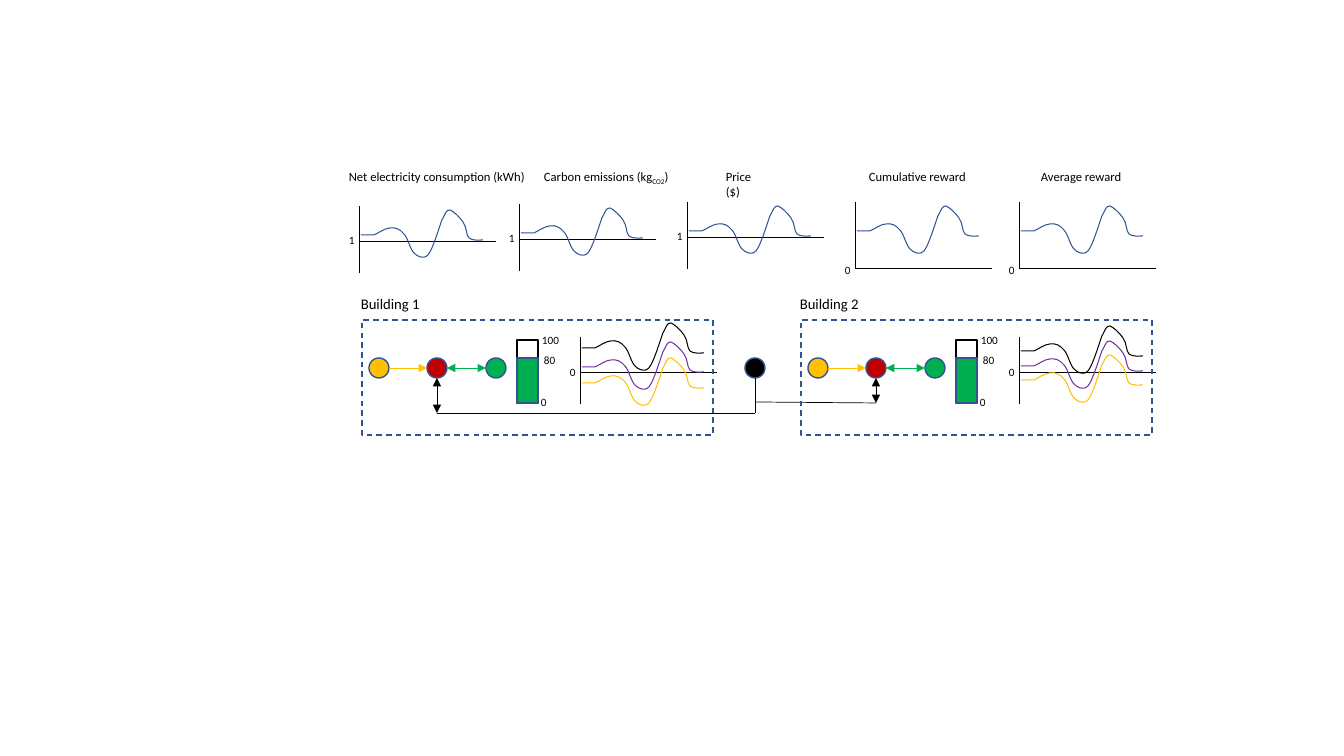
import dataclasses

import lxml.etree
import pptx
import pptx.dml.color
import pptx.enum.dml
import pptx.enum.shapes
import pptx.enum.text
import pptx.oxml.ns
import pptx.util

PIXEL = 914400 / 100.8
SHAPES = pptx.enum.shapes.MSO_SHAPE


@dataclasses.dataclass(frozen=True)
class Theme:
    font: str = "Calibri"
    black: str = "000000"
    blue: str = "325491"
    yellow: str = "FFC000"
    red: str = "C00000"
    green: str = "00B050"
    purple: str = "7030A0"
    tick_size: float = 8
    title_size: float = 9
    building_size: float = 10.5
    thin: float = 0.5
    curve: float = 0.75
    outline: float = 1


THEME = Theme()

# Load profile: flat start, then cubic segments (two controls and an end point)
PROFILE_START = [(0, 25), (13, 25)]
PROFILE_CUBICS = [
    (16, 24), (24, 18), (29, 18),
    (34, 17), (39, 19), (43, 24),
    (47, 28), (49, 39), (53, 43),
    (56, 46), (62, 50), (67, 45),
    (72, 39), (78, 18), (81, 10),
    (85, 3), (85, 0), (89, 0),
    (92, 1), (99, 7), (102, 12),
    (106, 17), (105, 25), (108, 28),
    (111, 31), (119, 30), (122, 30),
]
PROFILE_HEIGHT = 47


def px(length):
    return pptx.util.Emu(round(length * PIXEL))


def rgb(colour):
    return pptx.dml.color.RGBColor.from_string(colour)


def style_line(line, colour, width):
    line.color.rgb = rgb(colour)
    line.width = pptx.util.Pt(width)


def add_line(slide, start, end, colour=THEME.black, arrows=()):
    connector = slide.shapes.add_connector(
        pptx.enum.shapes.MSO_CONNECTOR.STRAIGHT, *map(px, start + end))
    style_line(connector.line, colour, THEME.thin)
    outline = connector.line._get_or_add_ln()
    for arrow in arrows:
        lxml.etree.SubElement(outline, pptx.oxml.ns.qn("a:" + arrow), type="triangle")
    lxml.etree.SubElement(connector._element.spPr, pptx.oxml.ns.qn("a:effectLst"))


def add_shape(slide, kind, left, top, width, height, fill=None, line=THEME.blue):
    shape = slide.shapes.add_shape(kind, *map(px, (left, top, width, height)))
    shape.shadow.inherit = False
    if fill:
        shape.fill.solid()
        shape.fill.fore_color.rgb = rgb(fill)
    else:
        shape.fill.background()
    style_line(shape.line, line, THEME.outline)
    return shape


def add_node(slide, left, top, colour):
    add_shape(slide, SHAPES.OVAL, left, top, 20, 20, colour)


def add_text(slide, left, top, width, height, pieces, size, wrap=False):
    """Pieces alternate between normal text and subscript."""
    text_box = slide.shapes.add_textbox(*map(px, (left, top, width, height)))
    frame = text_box.text_frame
    frame.word_wrap = wrap
    frame.auto_size = pptx.enum.text.MSO_AUTO_SIZE.SHAPE_TO_FIT_TEXT
    for index, piece in enumerate(pieces):
        run = frame.paragraphs[0].add_run()
        run.text = piece
        run.font.name = THEME.font
        run.font.size = pptx.util.Pt(size)
        run.font.color.rgb = rgb(THEME.black)
        if index % 2:
            run._r.get_or_add_rPr().set("baseline", "-25000")


def add_tick(slide, left, top, value):
    add_text(slide, left, top, 38, 24, [value], THEME.tick_size, wrap=True)


def add_curve(slide, left, top, colour):
    points = [(left + x, top + y) for x, y in PROFILE_START + PROFILE_CUBICS]
    builder = slide.shapes.build_freeform(*points[0], scale=PIXEL)
    builder.add_line_segments(points[1:], close=False)
    shape = builder.convert_to_shape()
    # Join every three points after the flat start into one cubic segment
    outline = next(shape._element.iter(pptx.oxml.ns.qn("a:path")))
    segments = list(outline)[len(PROFILE_START):]
    for index in range(0, len(segments), 3):
        cubic = lxml.etree.SubElement(outline, pptx.oxml.ns.qn("a:cubicBezTo"))
        for segment in segments[index:index + 3]:
            cubic.append(segment[0])
            outline.remove(segment)
    # Control points reach below the curve, so fit the frame to the curve
    outline.set("h", str(PROFILE_HEIGHT))
    shape.height = px(PROFILE_HEIGHT)
    shape.shadow.inherit = False
    shape.fill.background()
    style_line(shape.line, colour, THEME.curve)


def draw_chart(slide, left, top, baseline, tick, tick_rise, curves):
    """Axes with a tick label; curves are (drop from chart top, colour)."""
    add_line(slide, (left, top), (left, top + 67))
    add_line(slide, (left + 1, top + baseline), (left + 137, top + baseline))
    for offset, colour in curves:
        add_curve(slide, left + 2, top + offset, colour)
    add_tick(slide, left - 20, top + baseline - tick_rise, tick)


def draw_battery(slide, left, top):
    add_shape(slide, SHAPES.RECTANGLE, left, top, 21, 63, line=THEME.black)
    add_shape(slide, SHAPES.RECTANGLE, left, top + 18, 21, 45, THEME.green)
    for value, x, y in [("100", 15, -12), ("80", 17, 8), ("0", 14, 50)]:
        add_tick(slide, left + x, top + y, value)


def draw_building(slide, left, top, name, bus_drop, curves):
    # Source, controller and storage nodes with their links
    middle = top + 48
    for x, colour in [(7, THEME.yellow), (65, THEME.red), (124, THEME.green)]:
        add_node(slide, left + x, top + 38, colour)
    add_line(slide, (left + 27, middle), (left + 65, middle), THEME.yellow, ["tailEnd"])
    both = ["headEnd", "tailEnd"]
    add_line(slide, (left + 124, middle), (left + 85, middle), THEME.green, both)
    add_line(slide, (left + 75, top + bus_drop), (left + 75, top + 58), arrows=both)
    # State of charge and power profiles
    draw_battery(slide, left + 155, top + 20)
    draw_chart(slide, left + 218, top + 17, 35, "0", 12, curves)
    # Frame and name
    frame = add_shape(slide, SHAPES.RECTANGLE, left, top, 351, 115)
    frame.line.dash_style = pptx.enum.dml.MSO_LINE.DASH
    add_text(slide, left - 11, top - 30, 80, 28, [name], THEME.building_size)


def draw_indicators(slide, top):
    # Title left and width, pieces, chart left and drop, tick
    indicators = [
        (339, 199, ["Net electricity consumption (kWh)"], 359, 4, "1"),
        (534, 148, ["Carbon emissions (kg", "CO2", ")"], 519, 2, "1"),
        (716, 62, ["Price ($)"], 687, 0, "1"),
        (859, 119, ["Cumulative reward"], 855, 0, "0"),
        (1031, 103, ["Average reward"], 1019, 0, "0"),
    ]
    for title_left, width, pieces, left, drop, tick in indicators:
        add_text(slide, title_left, top, width, 25, pieces, THEME.title_size)
        baseline, tick_rise = (35, 13) if tick == "1" else (66, 10)
        draw_chart(slide, left, top + 38 + drop, baseline, tick, tick_rise,
                   [(4, THEME.blue)])


def draw_bus(slide, left, top):
    """Central node wired to the controllers of both buildings."""
    centre = left + 10
    add_node(slide, left, top, THEME.black)
    add_line(slide, (centre, top + 20), (centre, top + 55))
    add_line(slide, (centre, top + 55), (437, top + 55))
    add_line(slide, (centre, top + 44), (876, top + 45))


def main():
    presentation = pptx.Presentation()
    presentation.slide_width = px(1344)
    presentation.slide_height = px(756)
    slide = presentation.slides.add_slide(presentation.slide_layouts[6])
    draw_indicators(slide, 164)
    draw_bus(slide, 745, 358)
    colours = (THEME.black, THEME.purple, THEME.yellow)
    draw_building(slide, 362, 320, "Building 1", 93, list(zip((-14, 5, 21), colours)))
    draw_building(slide, 801, 320, "Building 2", 83, list(zip((-11, 4, 18), colours)))
    presentation.save("out.pptx")


main()
